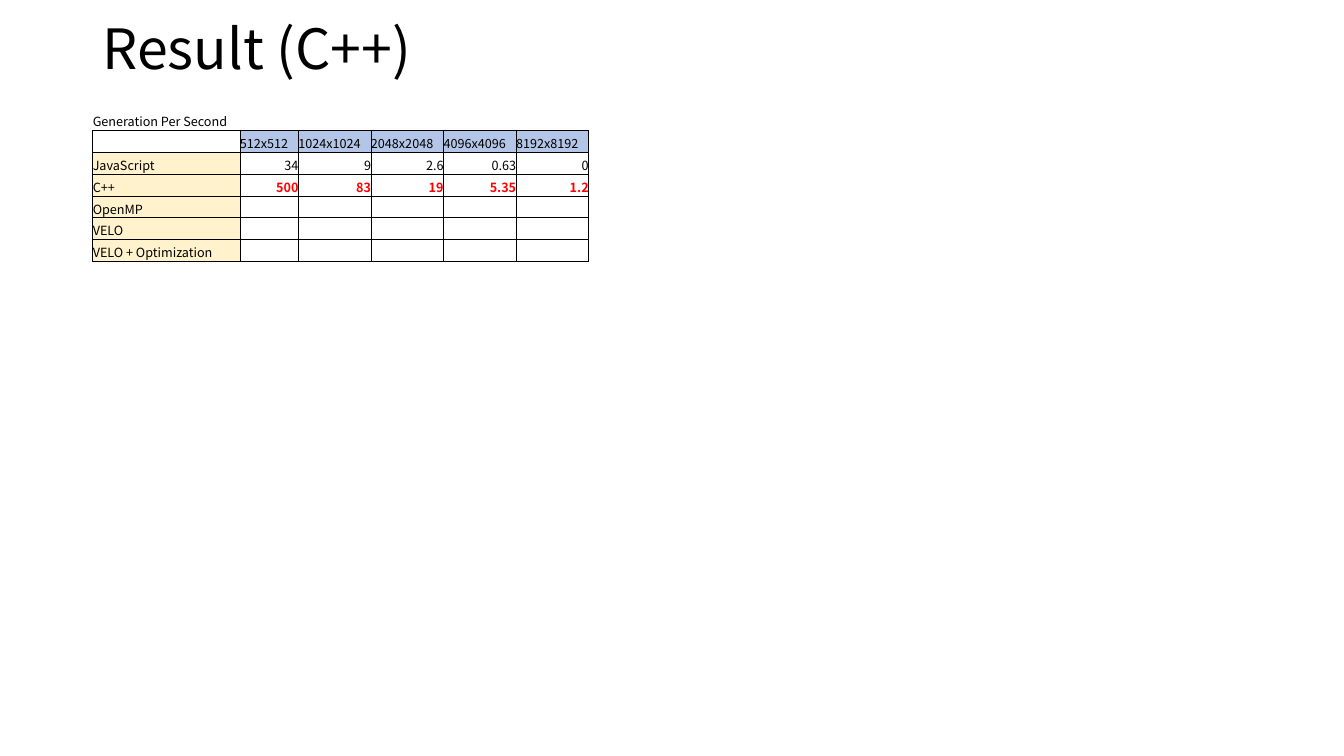
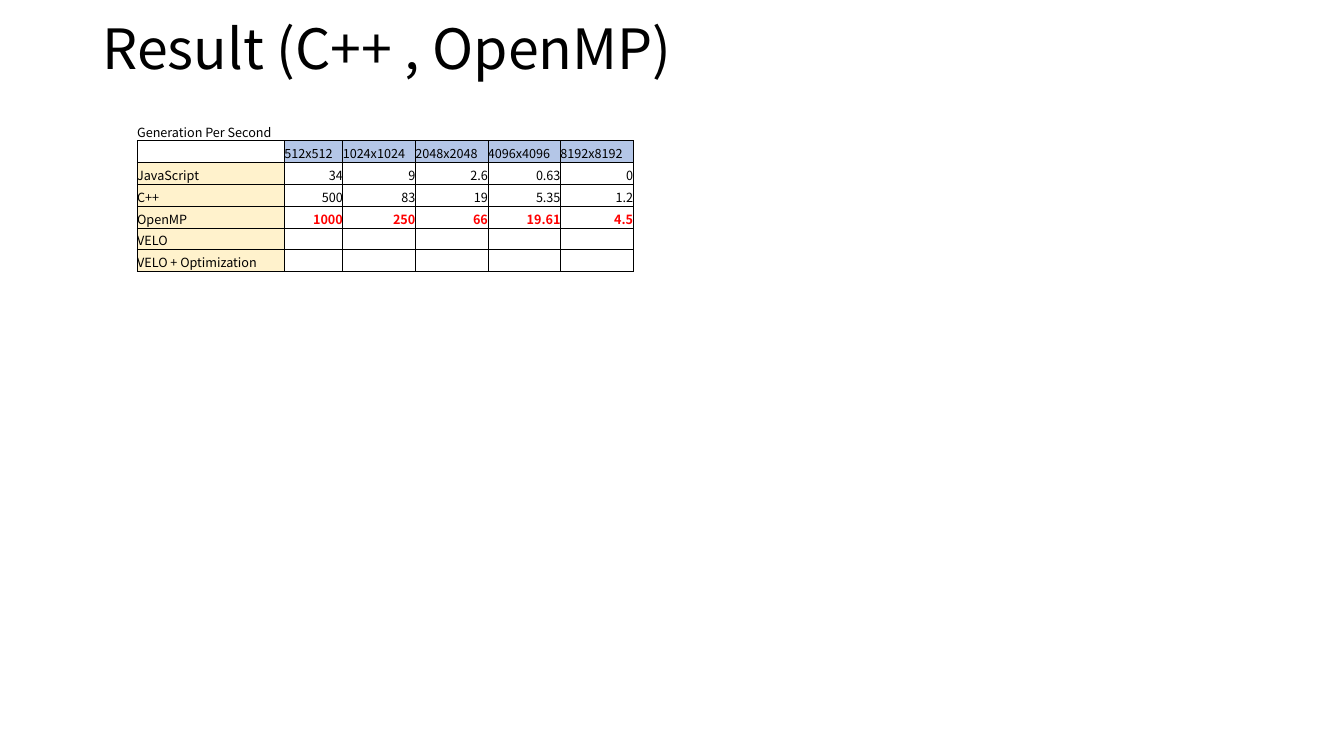
import pptx
import pptx.util
import pptx.dml.color
import pptx.enum.text
import pptx.oxml
import pptx.oxml.ns

Inches = pptx.util.Inches
Pt = pptx.util.Pt
RGBColor = pptx.dml.color.RGBColor
ANCHOR = pptx.enum.text.MSO_ANCHOR
ALIGN = pptx.enum.text.PP_ALIGN

BLACK = RGBColor(0x00, 0x00, 0x00)
WHITE = RGBColor(0xFF, 0xFF, 0xFF)
RED = RGBColor(0xFF, 0x00, 0x00)
BLUE = RGBColor(0xB4, 0xC6, 0xE7)
CREAM = RGBColor(0xFF, 0xF2, 0xCC)

FACE = "Noto Sans CJK JP"
PLAIN = "{2D5ABB26-0587-4C30-8999-92F81FD0307C}"
TITLE_BOX = (0.92, 0.17, 11.5, 0.69)
TITLE_FRAME = {"word_wrap": True, "vertical_anchor": ANCHOR.MIDDLE,
               "auto_size": pptx.enum.text.MSO_AUTO_SIZE.NONE}
TITLE_FONT = {"name": FACE, "size": Pt(39.6)}
CELL_FONT = {"name": FACE, "size": Pt(9)}
CELL_FORM = {"vertical_anchor": ANCHOR.BOTTOM, "margin_left": 0,
             "margin_right": 0, "margin_top": 0, "margin_bottom": 0}
TABLE_FORM = {"first_row": False, "horz_banding": False}

WIDTHS = [1.46, 0.58, 0.72, 0.72, 0.72, 0.72]
SPARE = 0.62
ROWS = 22
SIZES = ["512x512", "1024x1024", "2048x2048", "4096x4096", "8192x8192"]
SCORES = {
    "JavaScript": ["34", "9", "2.6", "0.63", "0"],
    "C++": ["500", "83", "19", "5.35", "1.2"],
    "OpenMP": ["1000", "250", "66", "19.61", "4.5"],
    "VELO": [],
    "VELO + Optimization": [],
}
SLIDES = [
    {"title": "Result (C++)", "box": (0.92, 1.08, 4.9, 4.76),
     "widths": WIDTHS, "best": "C++"},
    {"title": "Result (C++ , OpenMP)", "box": (1.36, 1.18, 5.53, 4.76),
     "widths": WIDTHS + [SPARE], "best": "OpenMP"},
]


def apply(target, values):
    """Set each named attribute on the target."""
    for name, value in values.items():
        setattr(target, name, value)


def write(para, text, form, color):
    """Add one styled run to a paragraph."""
    run = para.add_run()
    run.text = text
    apply(run.font, form)
    run.font.color.rgb = color


def add_title(slide, box, text):
    """Place the slide title in its box."""
    frame = slide.shapes.add_textbox(*map(Inches, box)).text_frame
    apply(frame, TITLE_FRAME)
    para = frame.paragraphs[0]
    para.line_spacing = 0.9
    write(para, text, TITLE_FONT, BLACK)


def add_edges(cell):
    """Draw a thin black line on all four sides of a cell."""
    props = cell._tc.get_or_add_tcPr()
    for side in ("lnL", "lnR", "lnT", "lnB"):
        props.append(pptx.oxml.parse_xml(
            f'<a:{side} {pptx.oxml.ns.nsdecls("a")} w="{Pt(0.5)}">'
            f'<a:solidFill><a:srgbClr val="{BLACK}"/></a:solidFill></a:{side}>'))


def fill_cell(cell, text, fill=None, edged=False, **style):
    """Style one cell and write its text."""
    apply(cell, CELL_FORM)
    if edged:
        add_edges(cell)
    if fill is None:
        cell.fill.background()
    else:
        cell.fill.solid()
        cell.fill.fore_color.rgb = fill
    para = cell.text_frame.paragraphs[0]
    if text:
        para.alignment = style.get("align", ALIGN.LEFT)
        form = {**CELL_FONT, "bold": style.get("bold", False)}
        write(para, text, form, style.get("color", BLACK))
    else:
        para._p.append(pptx.oxml.parse_xml(
            f'<a:endParaRPr {pptx.oxml.ns.nsdecls("a")} sz="900">'
            f'<a:latin typeface="{FACE}"/></a:endParaRPr>'))


def make_grid(best):
    """Return cell contents by row and column, up to the best method."""
    grid = {(0, 0): {"text": "Generation Per Second"},
            (1, 0): {"text": "", "fill": WHITE, "edged": True}}
    for col, size in enumerate(SIZES, 1):
        grid[1, col] = {"text": size, "fill": BLUE, "edged": True}
    last = list(SCORES).index(best) + 2
    for row, (label, scores) in enumerate(SCORES.items(), 2):
        grid[row, 0] = {"text": label, "fill": CREAM, "edged": True}
        style = {"color": RED, "bold": True} if row == last else {}
        for col in range(1, len(SIZES) + 1):
            text = scores[col - 1] if scores and row <= last else ""
            grid[row, col] = {"text": text, "edged": True,
                              "align": ALIGN.RIGHT, **style}
    return grid


def add_scores(slide, box, widths, best):
    """Place the score table in its box."""
    frame = slide.shapes.add_table(ROWS, len(widths), *map(Inches, box))
    table = frame.table
    apply(table, TABLE_FORM)
    table._tbl.tblPr.find(pptx.oxml.ns.qn("a:tableStyleId")).text = PLAIN
    for col, width in zip(table.columns, widths):
        col.width = Inches(width)
    for row in table.rows:
        row.height = Inches(box[3] / ROWS)
    grid = make_grid(best)
    for row in range(ROWS):
        for col in range(len(widths)):
            fill_cell(table.cell(row, col), **grid.get((row, col), {"text": ""}))


def main():
    """Build and save the slides."""
    deck = pptx.Presentation()
    apply(deck, {"slide_width": Inches(13.33), "slide_height": Inches(7.5)})
    for part in SLIDES:
        slide = deck.slides.add_slide(deck.slide_layouts[6])
        add_title(slide, TITLE_BOX, part["title"])
        add_scores(slide, part["box"], part["widths"], part["best"])
    deck.save("out.pptx")


if __name__ == "__main__":
    main()
